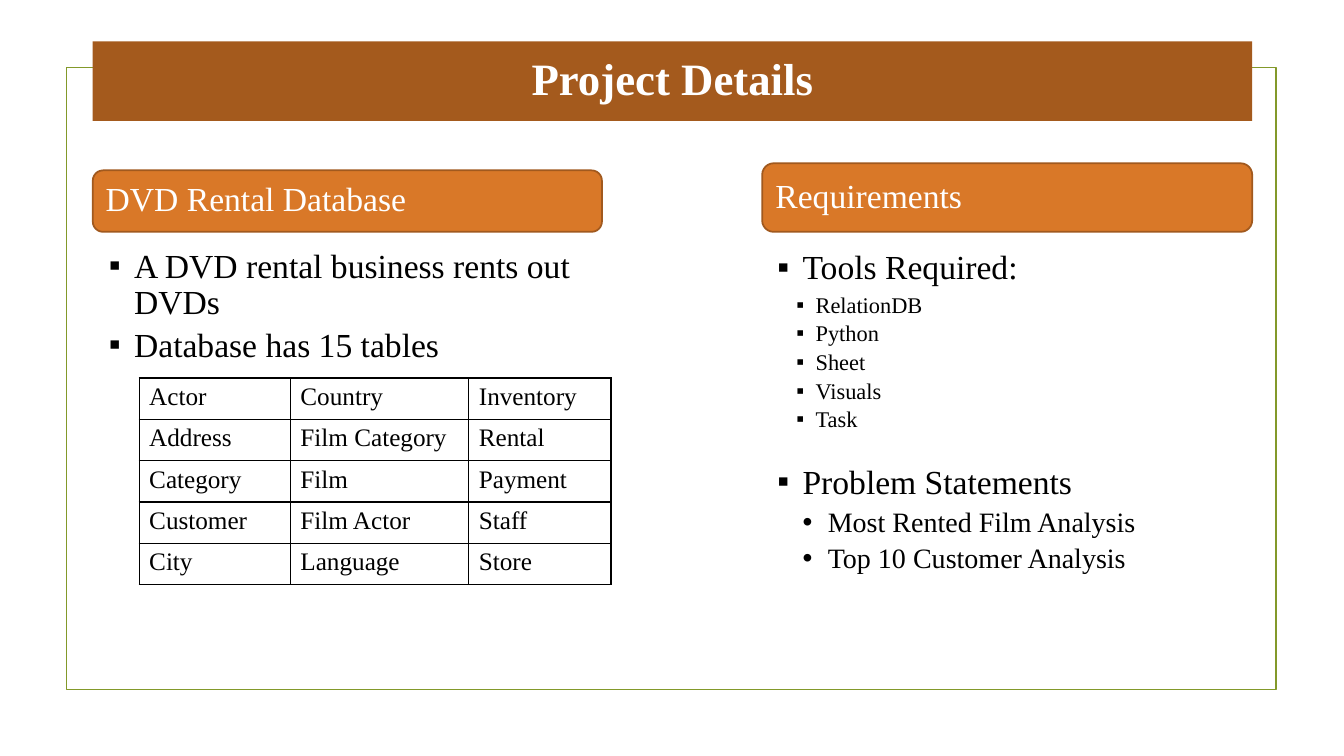
from lxml.etree import SubElement
from pptx import Presentation
from pptx.dml.color import RGBColor
from pptx.enum.shapes import MSO_SHAPE
from pptx.enum.text import MSO_ANCHOR, PP_ALIGN
from pptx.oxml.ns import qn
from pptx.util import Pt

PX = 9144
FONT = "Times New Roman"
COLORS = {
    "frame": "83992A",
    "title": "A45A1D",
    "heading": "D97828",
    "heading_line": "A1591E",
    "light": "FFFFFF",
    "dark": "000000",
}
TABLE_NAMES = [
    ["Actor", "Country", "Inventory"],
    ["Address", "Film Category", "Rental"],
    ["Category", "Film", "Payment"],
    ["Customer", "Film Actor", "Staff"],
    ["City", "Language", "Store"],
]
COLUMN_WIDTHS = [150, 177, 141]
ROW_HEIGHT = 41
TOOLS = ["RelationDB", "Python", "Sheet", "Visuals", "Task"]
PROBLEMS = ["Most Rented Film Analysis", "Top 10 Customer Analysis"]


def color(name):
    return RGBColor.from_string(COLORS[name])


def write(paragraph, text, size=24, ink="dark", bold=False, align=PP_ALIGN.LEFT,
          spacing=None, before=0, after=0):
    paragraph.alignment = align
    paragraph.line_spacing = spacing
    paragraph.space_before = Pt(before)
    paragraph.space_after = Pt(after)
    run = paragraph.add_run()
    run.text = text
    run.font.name = FONT
    run.font.size = Pt(size)
    run.font.bold = bold
    run.font.color.rgb = color(ink)


def set_insets(frame, left, top, right, bottom):
    frame.margin_left, frame.margin_top = left * PX, top * PX
    frame.margin_right, frame.margin_bottom = right * PX, bottom * PX


def add_box(slide, kind, box, fill=None, line=None):
    shape = slide.shapes.add_shape(kind, *(value * PX for value in box))
    shape.shadow.inherit = False
    if fill:
        shape.fill.solid()
        shape.fill.fore_color.rgb = color(fill)
    else:
        shape.fill.background()
    if line:
        shape.line.color.rgb = color(line)
        shape.line.width = Pt(1.25)
    else:
        shape.line.fill.background()
    shape.text_frame.word_wrap = True
    shape.text_frame.vertical_anchor = MSO_ANCHOR.MIDDLE
    return shape


def add_heading(slide, text, box):
    shape = add_box(slide, MSO_SHAPE.ROUNDED_RECTANGLE, box, "heading", "heading_line")
    set_insets(shape.text_frame, 10, 10, 10, 10)
    write(shape.text_frame.paragraphs[0], text, ink="light", spacing=0.9)


def set_bullet(paragraph, symbol, margin, hanging, level):
    paragraph.level = level
    properties = paragraph._p.get_or_add_pPr()
    properties.set("marL", str(margin * PX))
    properties.set("indent", str(-hanging * PX))
    SubElement(properties, qn("a:buFont"), typeface="Arial")
    SubElement(properties, qn("a:buChar"), char=symbol)


def add_bullets(slide, box, left_inset, items):
    frame = slide.shapes.add_textbox(*(value * PX for value in box)).text_frame
    frame.word_wrap = True
    set_insets(frame, left_inset, 3, 19, 3)
    for index, (text, size, symbol, margin, hanging, level, before) in enumerate(items):
        paragraph = frame.paragraphs[0] if index == 0 else frame.add_paragraph()
        write(paragraph, text, size=size, spacing=0.9, before=before,
              after=round(size * 0.2, 1))
        set_bullet(paragraph, symbol, margin, hanging, level)


def main_point(text, before=0):
    return text, 24, "▪", 25, 25, 1, before


def set_borders(cell):
    properties = cell._tc.get_or_add_tcPr()
    for index, side in enumerate(("a:lnL", "a:lnR", "a:lnT", "a:lnB")):
        line = properties.makeelement(qn(side), {"w": str(Pt(1))})
        fill = SubElement(line, qn("a:solidFill"))
        SubElement(fill, qn("a:srgbClr"), val=COLORS["dark"])
        properties.insert(index, line)


def add_names_table(slide, left, top):
    rows, columns = len(TABLE_NAMES), len(COLUMN_WIDTHS)
    table = slide.shapes.add_table(rows, columns, left * PX, top * PX,
                                   sum(COLUMN_WIDTHS) * PX, rows * ROW_HEIGHT * PX).table
    table.first_row = table.horz_banding = False
    for column, width in zip(table.columns, COLUMN_WIDTHS):
        column.width = width * PX
    for row, names in zip(table.rows, TABLE_NAMES):
        row.height = ROW_HEIGHT * PX
        for cell, name in zip(row.cells, names):
            cell.fill.background()
            set_borders(cell)
            write(cell.text_frame.paragraphs[0], name, size=18)


def main():
    presentation = Presentation()
    presentation.slide_width, presentation.slide_height = 1333 * PX, 750 * PX
    slide = presentation.slides.add_slide(presentation.slide_layouts[6])

    add_box(slide, MSO_SHAPE.RECTANGLE, (66, 67, 1200, 617), line="frame")
    title = add_box(slide, MSO_SHAPE.RECTANGLE, (92, 41, 1150, 79), fill="title")
    write(title.text_frame.paragraphs[0], "Project Details", size=32, ink="light",
          bold=True, align=PP_ALIGN.CENTER, spacing=0.9)

    add_heading(slide, "DVD Rental Database", (92, 169, 505, 61))
    add_bullets(slide, (92, 244, 505, 161), 16, [
        main_point("A DVD rental business rents out DVDs"),
        main_point("Database has 15 tables"),
    ])
    add_names_table(slide, 138, 375)

    add_heading(slide, "Requirements", (756, 162, 486, 68))
    add_bullets(slide, (756, 246, 478, 290), 15, [
        main_point("Tools Required:"),
        *((tool, 16, "▪", 38, 19, 2, 0) for tool in TOOLS),
        main_point("Problem Statements", before=20),
        *((problem, 20, "•", 50, 25, 2, 0) for problem in PROBLEMS),
    ])
    presentation.save("out.pptx")


if __name__ == "__main__":
    main()
